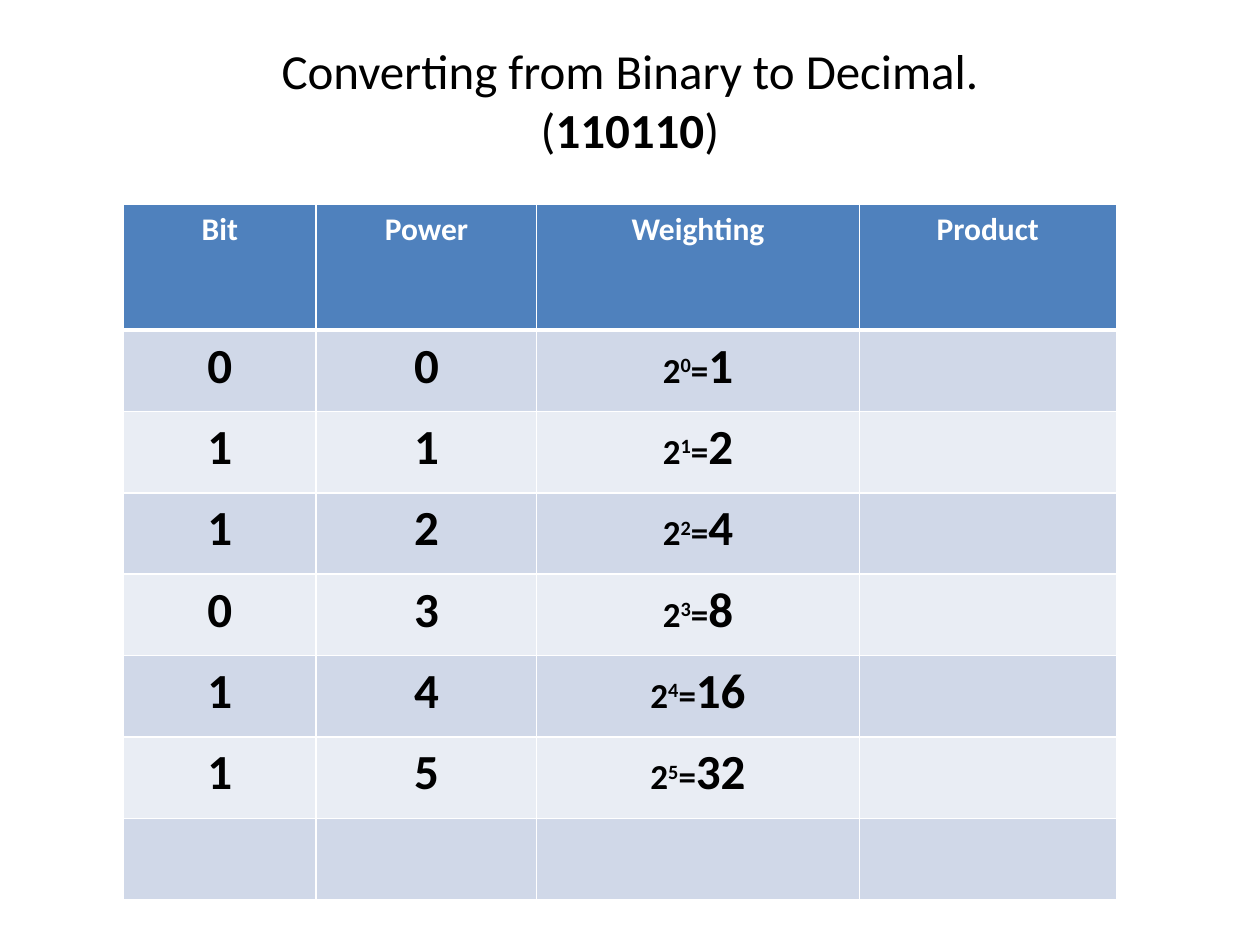
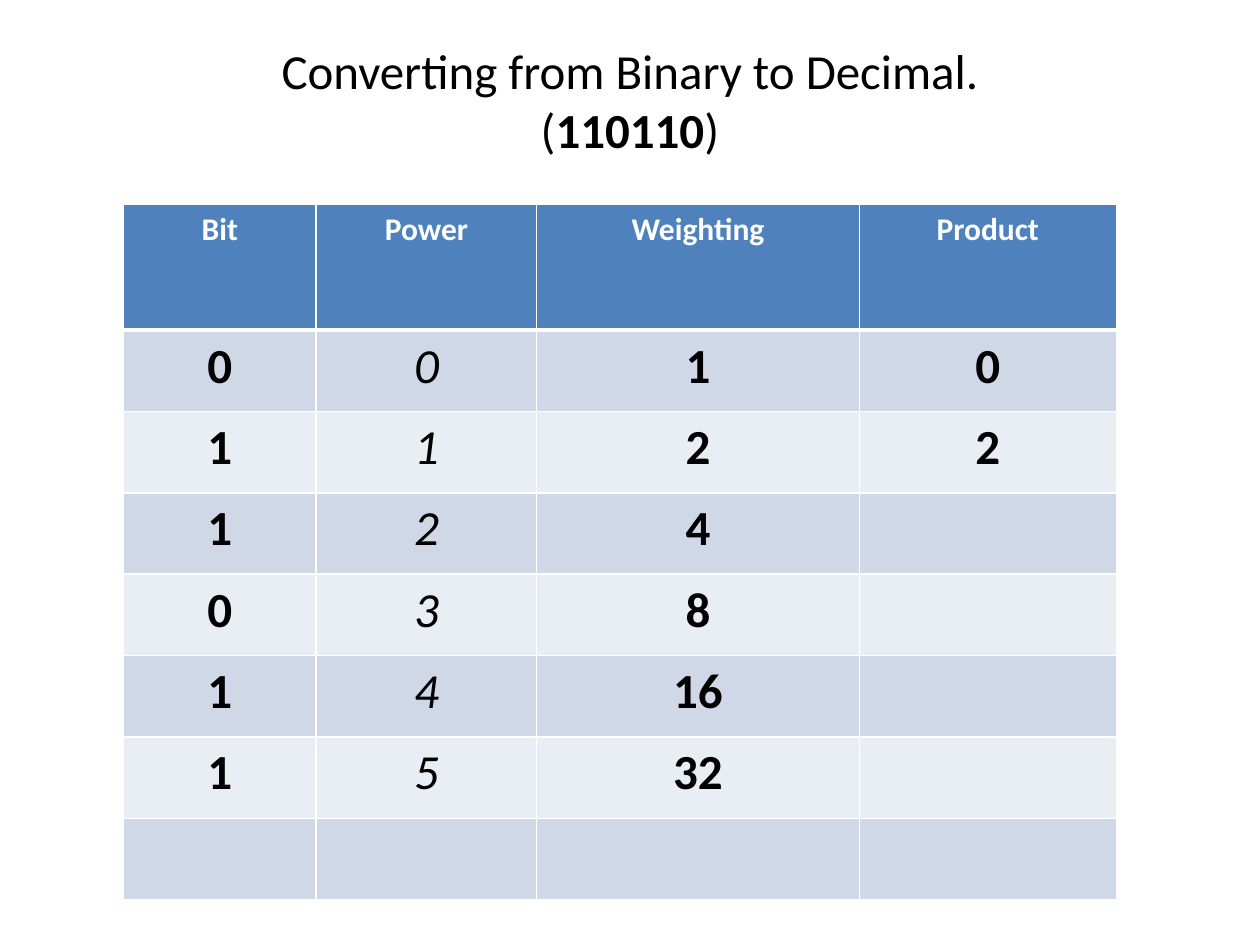
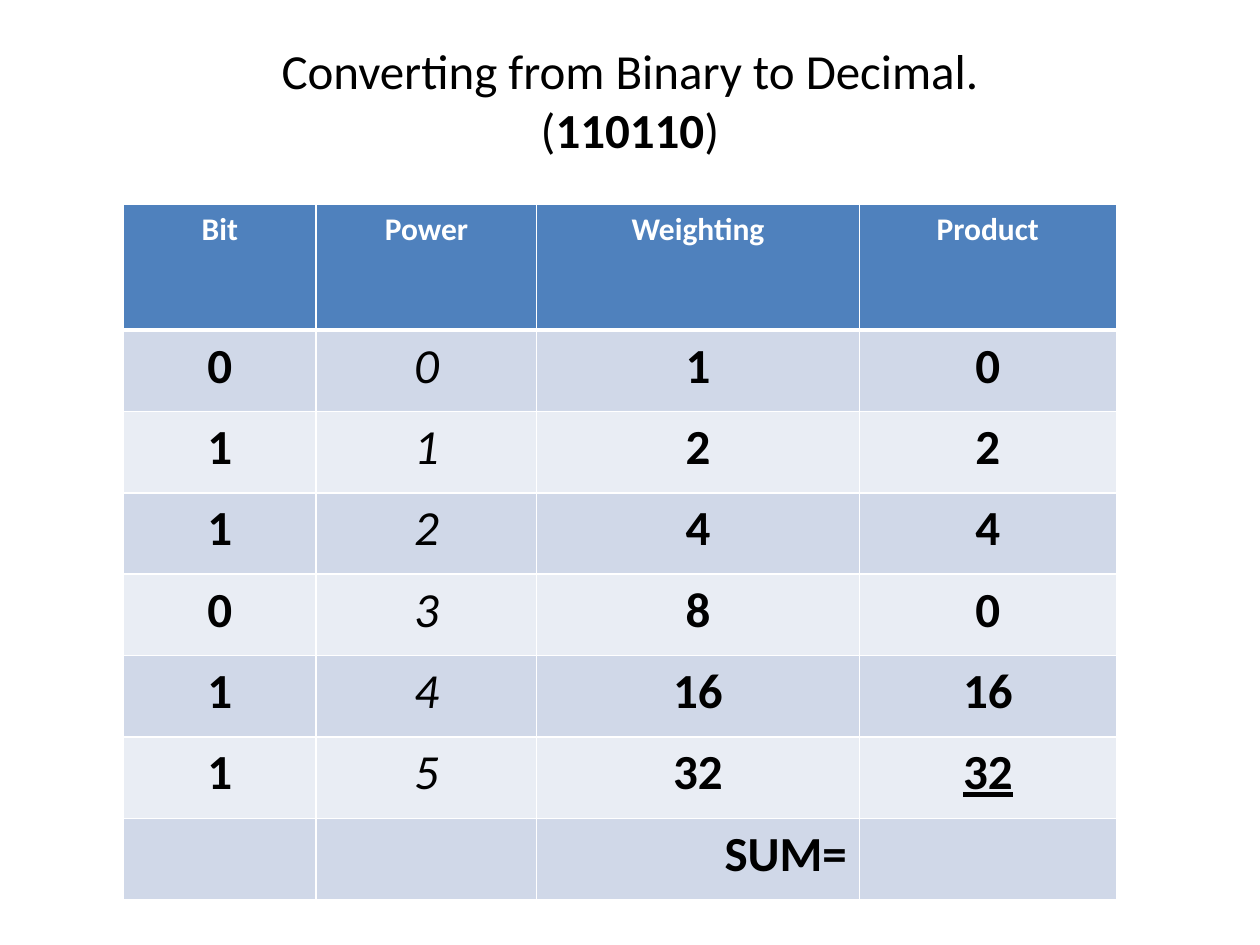
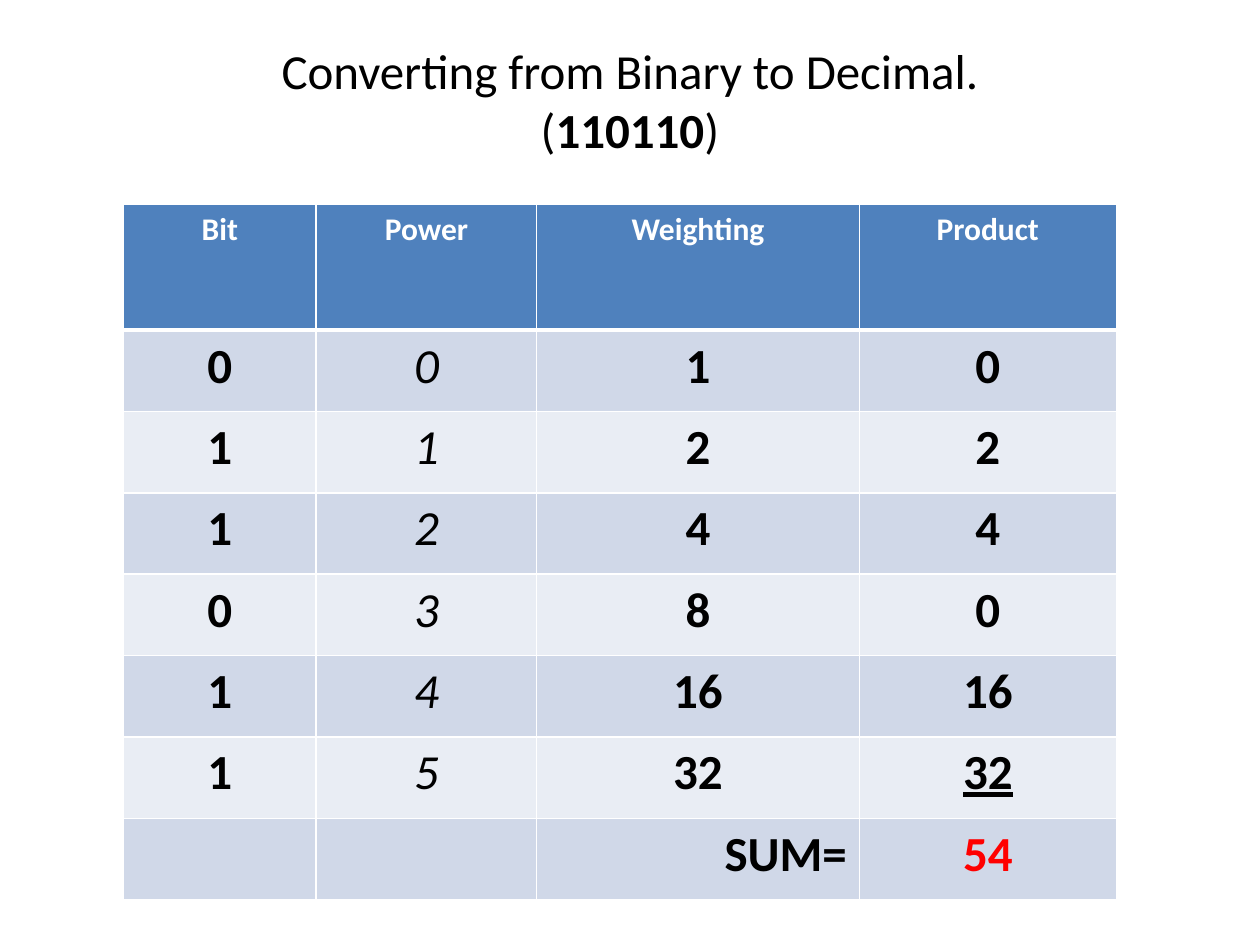
from lxml import etree
from pptx import Presentation
from pptx.dml.color import RGBColor
from pptx.enum.text import MSO_ANCHOR, PP_ALIGN
from pptx.oxml.ns import qn
from pptx.util import Inches, Pt

CENTER, RIGHT = PP_ALIGN.CENTER, PP_ALIGN.RIGHT
MIDDLE = MSO_ANCHOR.MIDDLE

# Content
BINARY = "110110"
TITLE = "Converting from Binary to Decimal."
HEADERS = ["Bit", "Power", "Weighting", "Product"]
STEPS = [
    {"show_powers": True, "products": 0, "sum_label": False, "total": False},
    {"show_powers": False, "products": 2, "sum_label": False, "total": False},
    {"show_powers": False, "products": 6, "sum_label": True, "total": False},
    {"show_powers": False, "products": 6, "sum_label": True, "total": True},
]

# Shared look
FONT = "Calibri"
BLACK, WHITE, RED = "000000", "FFFFFF", "FF0000"
HEADER_FILL, BAND_FILLS = "4F81BD", ("D0D8E8", "E9EDF4")
TITLE_BOX = (0.5, 0.3, 9, 0.98)
TABLE_LEFT, TABLE_TOP, TABLE_HEIGHT = 0.98, 1.62, 5.52
COL_WIDTHS = [1.53, 1.75, 2.56, 2.04]
HEADER_HEIGHT = 1.0
ROW_COUNT = len(BINARY) + 2  # header, one row per bit, sum
ROW_HEIGHT = (TABLE_HEIGHT - HEADER_HEIGHT) / (ROW_COUNT - 1)


def rgb(value):
    return RGBColor.from_string(value)


def add_run(p, text, size=28, color=BLACK, baseline=None, **formats):
    r = p.add_run()
    r.text = text
    r.font.color.rgb = rgb(color)
    for name, value in {"name": FONT, "size": Pt(size), **formats}.items():
        setattr(r.font, name, value)
    if baseline:
        r._r.get_or_add_rPr().set("baseline", str(baseline * 1000))


def add_title(s):
    tf = s.shapes.add_textbox(*map(Inches, TITLE_BOX)).text_frame
    for name, value in {"word_wrap": True, "vertical_anchor": MIDDLE,
                        "margin_top": 0, "margin_bottom": 0}.items():
        setattr(tf, name, value)
    p = tf.paragraphs[0]
    p.alignment = CENTER
    add_run(p, TITLE)
    p.add_line_break()
    add_run(p, "(")
    add_run(p, BINARY, bold=True)
    add_run(p, ")")


def set_border(cell, side, width):
    ln = etree.SubElement(cell._tc.get_or_add_tcPr(), qn(f"a:ln{side}"),
                          w=str(Pt(width)))
    fill = etree.SubElement(ln, qn("a:solidFill"))
    etree.SubElement(fill, qn("a:srgbClr"), val=WHITE)


def style_cell(cell, row):
    thick_sides = {0: "B", 1: "T"}  # the rule under the header
    for side in "LRTB":
        set_border(cell, side, 3 if thick_sides.get(row) == side else 1)
    cell.fill.solid()
    cell.fill.fore_color.rgb = rgb(BAND_FILLS[(row - 1) % 2] if row else HEADER_FILL)


def write(cell, text, align=CENTER, bold=True, **formats):
    p = cell.text_frame.paragraphs[0]
    p.alignment = align
    add_run(p, text, bold=bold, **formats)


def add_table(s, step):
    table = s.shapes.add_table(
        ROW_COUNT, len(HEADERS), Inches(TABLE_LEFT), Inches(TABLE_TOP),
        Inches(sum(COL_WIDTHS)), Inches(TABLE_HEIGHT)).table
    for col, width in zip(table.columns, COL_WIDTHS):
        col.width = Inches(width)
    for i, row in enumerate(table.rows):
        row.height = Inches(ROW_HEIGHT if i else HEADER_HEIGHT)
        for cell in row.cells:
            style_cell(cell, i)

    # Header row
    for col, header in enumerate(HEADERS):
        write(table.cell(0, col), header, size=18, color=WHITE)

    # One row per bit, lowest power first
    for power, bit in enumerate(reversed(BINARY)):
        bit_cell, power_cell, weight_cell, product_cell = (
            table.cell(power + 1, col) for col in range(4))
        weight = 2 ** power
        plain = step["show_powers"]
        write(bit_cell, bit)
        write(power_cell, str(power), bold=plain, italic=not plain)
        if plain:
            write(weight_cell, "2", size=20)
            write(weight_cell, str(power), size=20, baseline=30)
            write(weight_cell, "=", size=20)
        write(weight_cell, str(weight))
        if power < step["products"]:
            last = power == len(BINARY) - 1
            write(product_cell, str(int(bit) * weight), underline=last)

    # Sum row
    if step["sum_label"]:
        write(table.cell(ROW_COUNT - 1, 2), "SUM=", align=RIGHT)
    if step["total"]:
        write(table.cell(ROW_COUNT - 1, 3), str(int(BINARY, 2)), color=RED)


def main():
    prs = Presentation()
    prs.slide_width, prs.slide_height = Inches(10), Inches(7.5)
    for step in STEPS:
        s = prs.slides.add_slide(prs.slide_layouts[6])
        add_title(s)
        add_table(s, step)
    prs.save("out.pptx")


if __name__ == "__main__":
    main()
